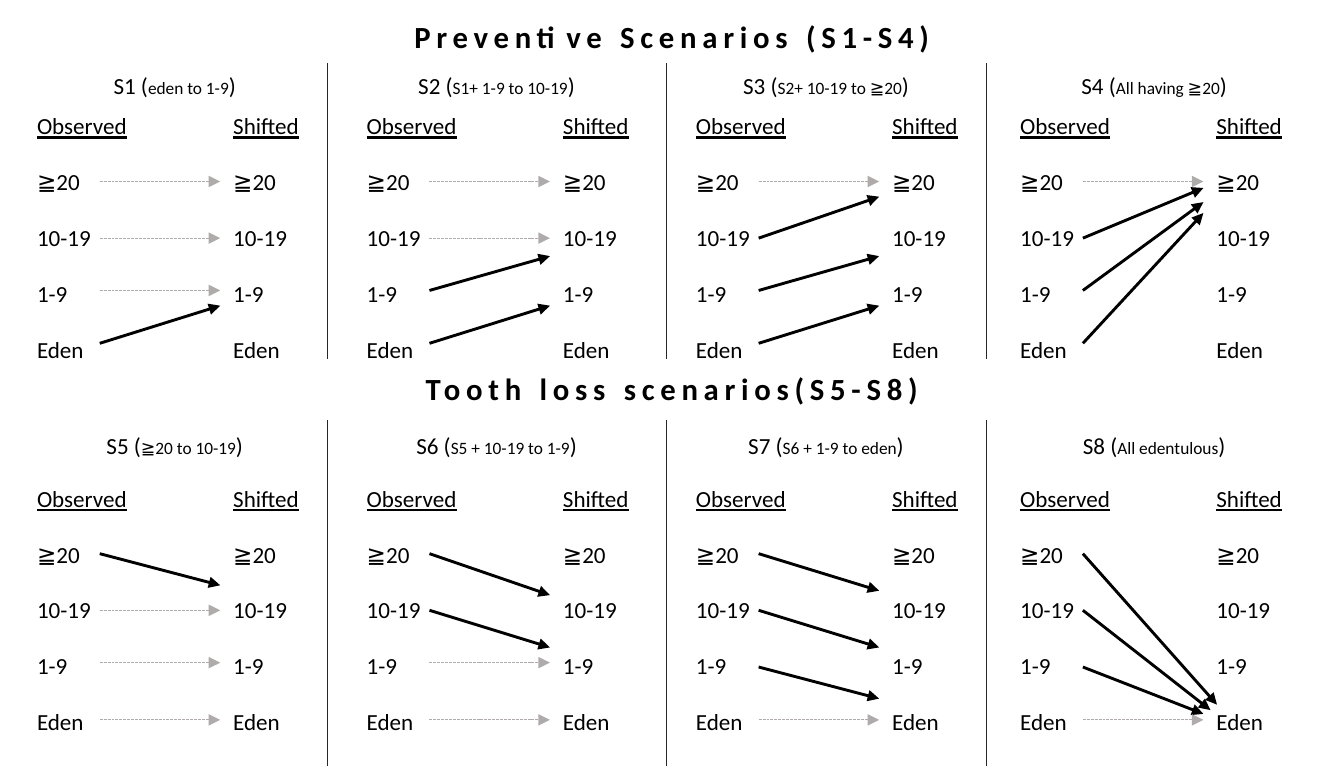
import dataclasses

import lxml.etree
import pptx
import pptx.dml.color
import pptx.enum.dml
import pptx.enum.shapes
import pptx.enum.text
import pptx.oxml.ns
import pptx.util

Cm, Pt, qn = pptx.util.Cm, pptx.util.Pt, pptx.oxml.ns.qn


@dataclasses.dataclass(frozen=True)
class Theme:
    """Colours, font and sizes in points."""
    font: str = "Calibri"
    ink: str = "000000"
    faint: str = "AFABAB"
    rule: str = "262626"
    head: int = 16
    body: int = 12
    small: int = 9
    track: int = 3
    bold: float = 1.5
    thin: float = 0.5
    hair: float = 0.25
    gap: float = 14.65


EVEN = (1.4, 2.44, 3.4, 4.37)
LOSS = (1.4, 2.44, 3.4, 4.45)
LOW = (1.4, 2.44, 3.48, 4.45)


@dataclasses.dataclass(frozen=True)
class Panel:
    """One scenario; arrow heights are in cm below its top, None is level."""
    name: str
    note: str
    ends: tuple
    starts: tuple = EVEN
    runs: tuple = (2.21,) * 4


BANDS = [
    ("Preventive Scenarios (S1-S4)", 1.93, [
        Panel("S1", "eden to 1-9", (None, None, None, 3.68)),
        Panel("S2", "S1+ 1-9 to 10-19", (None, None, 2.77, 3.68)),
        Panel("S3", "S2+ 10-19 to ≧20", (None, 1.68, 2.77, 3.68)),
        Panel("S4", "All having ≧20", (None, 1.52, 1.78, 1.98)),
    ]),
    ("Tooth loss scenarios(S5-S8)", 8.76, [
        Panel("S5", "≧20 to 10-19", (1.98, None, None, None), LOSS),
        Panel("S6", "S5 + 10-19 to 1-9", (2.16, 3.12, None, None), LOSS),
        Panel("S7", "S6 + 1-9 to eden", (2.08, 3.12, 4.06, None), LOW),
        Panel("S8", "All edentulous", (4.17, 4.27, 4.34, None), LOW,
              (2.46, 2.34, 2.21, 2.21)),
    ]),
]
LEFTS = (0.43, 6.48, 12.52, 18.47)
WIDTHS = (5.59, 6.22, 5.87, 6.17)
HEIGHTS = (0.91, 0.86, 4.57, 1.12, 0.97, 5.38)
STATES = ("≧20", "10-19", "1-9", "Eden")


def write(para, words, theme, size=None, bold=False, under=False, track=0):
    """Add a formatted run to a paragraph."""
    run = para.add_run()
    run.text = words
    font = run.font
    font.name, font.size = theme.font, Pt(size or theme.body)
    font.bold, font.underline = bold, under
    font.color.rgb = pptx.dml.color.RGBColor.from_string(theme.ink)
    if track:
        font._element.set("spc", str(track * 100))


class Board:
    """Holds the theme and the current slide."""

    def __init__(self, slide, theme):
        """Keep the slide and its style."""
        self.slide, self.theme = slide, theme

    def border(self, cell, sides):
        """Rule the given sides of a cell and clear the others."""
        props = cell._tc.get_or_add_tcPr()
        for spot, side in enumerate("LRTB"):
            line = lxml.etree.Element(qn("a:ln" + side))
            if side in sides:
                line.set("w", str(Pt(self.theme.hair)))
                fill = lxml.etree.SubElement(line, qn("a:solidFill"))
                tint = lxml.etree.SubElement(fill, qn("a:srgbClr"))
                tint.set("val", self.theme.rule)
            else:
                lxml.etree.SubElement(line, qn("a:noFill"))
            props.insert(spot, line)

    def grid(self, left, top, widths, heights):
        """Add a clear table with rules between its columns."""
        frame = self.slide.shapes.add_table(
            len(heights), len(widths), Cm(left), Cm(top),
            Cm(sum(widths)), Cm(sum(heights)))
        table = frame.table
        table.first_row = table.horz_banding = False
        for col, width in zip(table.columns, widths):
            col.width = Cm(width)
        for row, height in zip(table.rows, heights):
            row.height = Cm(height)
        last = len(widths) - 1
        for y in range(len(heights)):
            for x in range(len(widths)):
                cell = table.cell(y, x)
                cell.fill.background()
                cell.margin_top = cell.margin_bottom = Cm(0.05)
                cell.vertical_anchor = pptx.enum.text.MSO_ANCHOR.MIDDLE
                sides = ("L" if x > 0 else "") + ("R" if x < last else "")
                self.border(cell, sides if y % 3 else "")
        return table

    def label(self, cell, *parts):
        """Fill a cell with centred runs of (words, format)."""
        para = cell.text_frame.paragraphs[0]
        para.alignment = pptx.enum.text.PP_ALIGN.CENTER
        for words, form in parts:
            write(para, words, self.theme, **form)

    def column(self, group, left, top, head):
        """Add a column of states under an underlined head."""
        box = group.shapes.add_textbox(Cm(left), Cm(top), Cm(2.18), Cm(4.88))
        frame = box.text_frame
        frame.word_wrap = False
        write(frame.paragraphs[0], head, self.theme, under=True)
        for state in STATES:
            para = frame.add_paragraph()
            para.space_before = Pt(self.theme.gap)
            write(para, state, self.theme)

    def arrow(self, group, start, end, level):
        """Add an arrow: faint and dashed if level, else bold."""
        link = group.shapes.add_connector(
            pptx.enum.shapes.MSO_CONNECTOR.STRAIGHT,
            *(Cm(n) for n in start + end))
        line, theme = link.line, self.theme
        line.color.rgb = pptx.dml.color.RGBColor.from_string(
            theme.faint if level else theme.ink)
        line.width = Pt(theme.thin if level else theme.bold)
        if level:
            line.dash_style = pptx.enum.dml.MSO_LINE.SQUARE_DOT
        props = link._element.spPr
        tip = lxml.etree.SubElement(props.find(qn("a:ln")), qn("a:tailEnd"))
        tip.set("type", "triangle")
        lxml.etree.SubElement(props, qn("a:effectLst"))

    def panel(self, left, top, panel):
        """Add both columns of a scenario and the arrows between them."""
        group = self.slide.shapes.add_group_shape()
        self.column(group, left, top, "Observed")
        self.column(group, left + 3.6, top, "Shifted")
        base = left + 1.4
        for start, end, run in zip(panel.starts, panel.ends, panel.runs):
            level = end is None
            stop = start if level else end
            self.arrow(group, (base, top + start),
                       (base + run, top + stop), level)


def main():
    """Build and save the slide."""
    deck = pptx.Presentation()
    deck.slide_width, deck.slide_height = Cm(24.66), Cm(14.35)
    theme = Theme()
    board = Board(deck.slides.add_slide(deck.slide_layouts[6]), theme)
    table = board.grid(0.41, 0.25, WIDTHS, HEIGHTS)
    for band, (title, top, panels) in enumerate(BANDS):
        row = band * 3
        head = table.cell(row, 0)
        head.merge(table.cell(row, 3))
        board.label(head, (title, {"size": theme.head, "bold": True,
                                   "track": theme.track}))
        for col, (left, panel) in enumerate(zip(LEFTS, panels)):
            board.label(table.cell(row + 1, col), (panel.name + " (", {}),
                        (panel.note, {"size": theme.small}), (")", {}))
            board.panel(left, top, panel)
    deck.save("out.pptx")


main()
